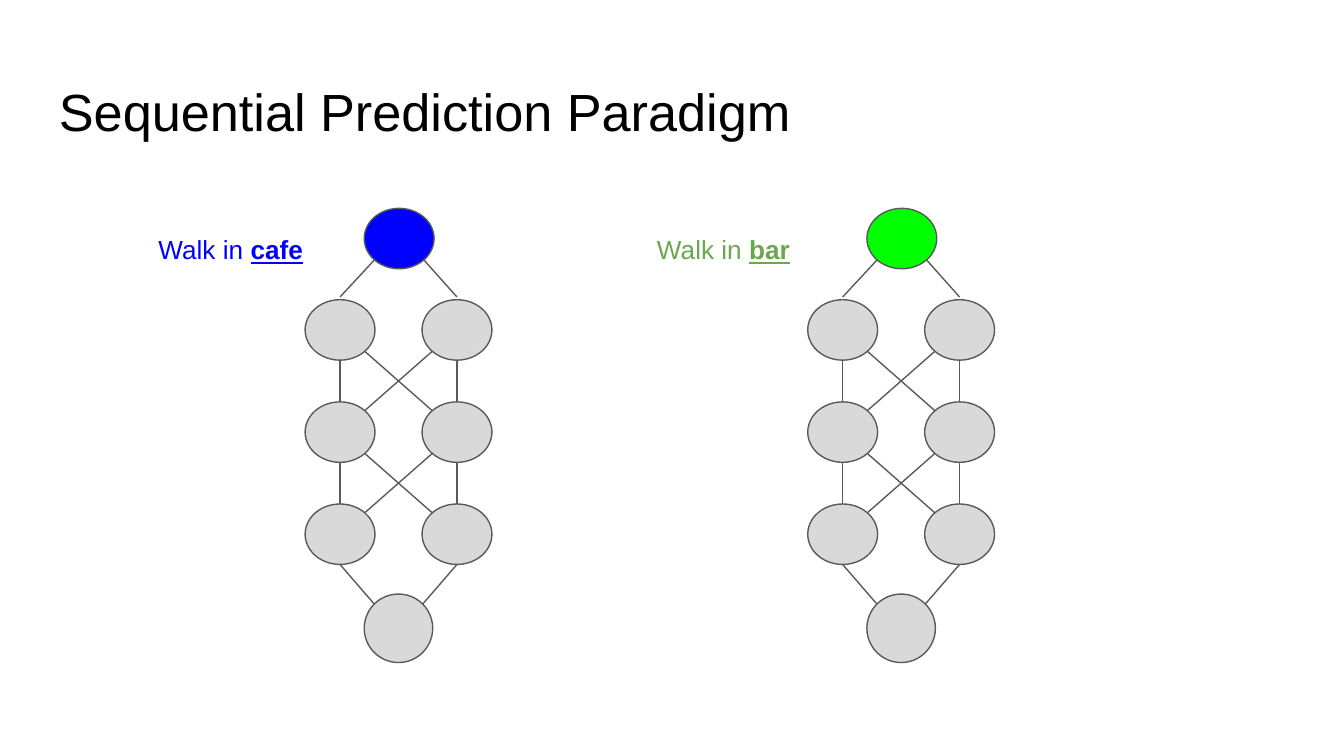
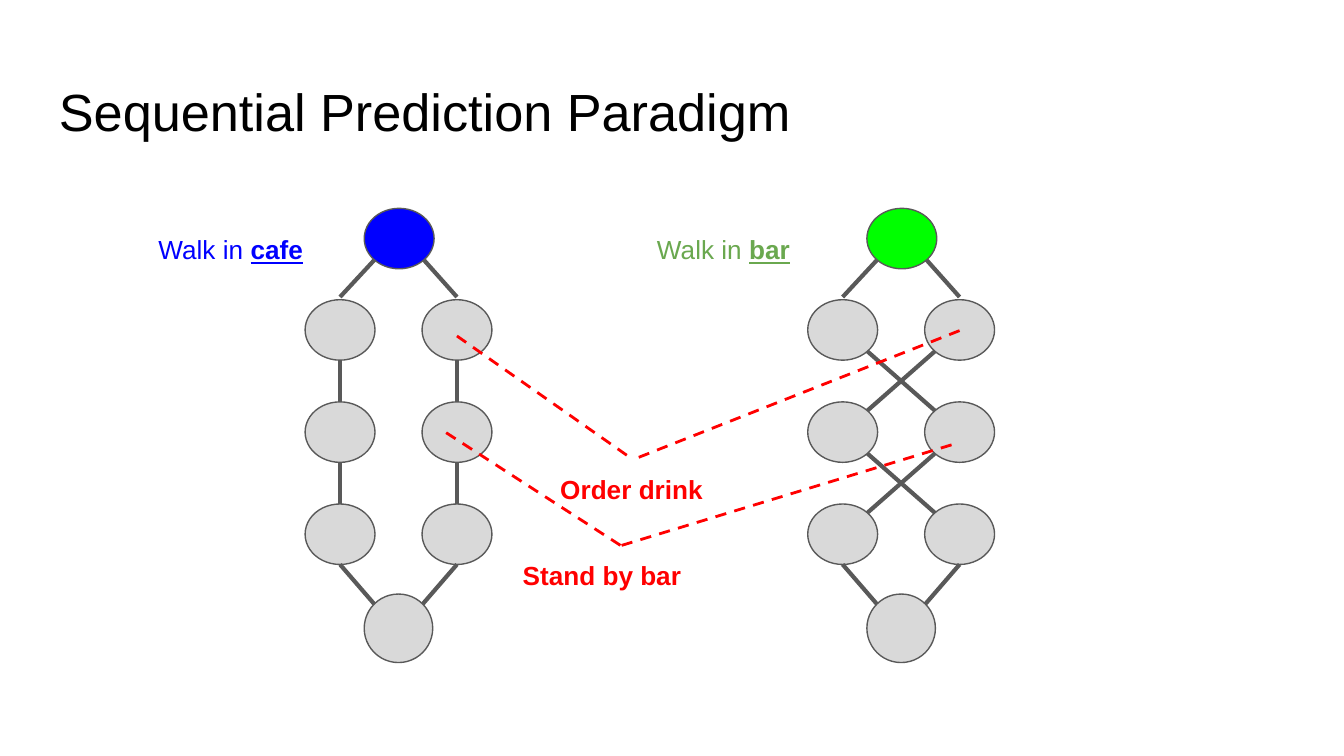
"""Build two slides on the sequential prediction paradigm."""
from lxml import etree
from pptx import Presentation
from pptx.dml.color import RGBColor
from pptx.enum.dml import MSO_LINE
from pptx.enum.shapes import MSO_CONNECTOR, MSO_SHAPE
from pptx.enum.text import MSO_ANCHOR, PP_ALIGN
from pptx.oxml.ns import qn
from pptx.util import Pt

OVAL = MSO_SHAPE.OVAL
STRAIGHT = MSO_CONNECTOR.STRAIGHT
DASH = MSO_LINE.DASH
TOP = MSO_ANCHOR.TOP
LEFT = PP_ALIGN.LEFT

BLACK = RGBColor(0x00, 0x00, 0x00)
BLUE = RGBColor(0x00, 0x00, 0xFF)
LIME = RGBColor(0x00, 0xFF, 0x00)
GREEN = RGBColor(0x6A, 0xA8, 0x4F)
RED = RGBColor(0xFF, 0x00, 0x00)
GRAY = RGBColor(0xD9, 0xD9, 0xD9)
DARK = RGBColor(0x59, 0x59, 0x59)

PX = 9144
SLIDE_WIDTH = 1000
SLIDE_SIZE = (SLIDE_WIDTH, SLIDE_WIDTH * 9 / 16)
INSET = 10
FONT = "Arial"
THIN, THICK, DASHED = 0.75, 2.25, 1.5

TITLE = "Sequential Prediction Paradigm"
TITLE_BOX = (34, 49, 932, 63)
PLAIN = {}
BOLD = {"bold": True}
PLACE = {"bold": True, "underline": True}

CAFE = {"left": 227, "start": BLUE, "ink": BLUE, "place": "cafe", "box": (108, 164, 148, 36)}
BAR = {"left": 601, "start": LIME, "ink": GREEN, "place": "bar", "box": (479, 164, 140, 36)}

SLIDES = [
    {"weight": THIN,
     "trees": [(CAFE, ("parallel", "crossed")), (BAR, ("parallel", "crossed"))],
     "shared_events": []},
    {"weight": THICK,
     "trees": [(CAFE, ("parallel",)), (BAR, ("crossed",))],
     "shared_events": [
         ("Order drink", (407, 342, 128, 36), (471, 342), [(340, 250), (714, 246)]),
         ("Stand by bar", (379, 406, 165, 36), (462, 406), [(332, 322), (708, 331)]),
     ]},
]

NODE_SIZE = (52, 45)
END_SIZE = (51, 51)
COLUMN_STEP, ROW_STEP, ROWS = 87, 76, 3
START_TOP, FIRST_ROW_TOP, END_TOP = 155, 223, 442
APEX_SHIFT = 44
START_GAP = 2
DIAGONAL = 0.5 ** 0.5
PATHS = {"parallel": [(0, 0), (1, 1)], "crossed": [(0, 1), (1, 0)]}


def emu(lengths):
    return [round(length * PX) for length in lengths]


def add_text(slide, box, runs, size, color):
    frame = slide.shapes.add_textbox(*emu(box)).text_frame
    frame_format = {"word_wrap": True, "vertical_anchor": TOP}
    for side in ("left", "top", "right", "bottom"):
        frame_format[f"margin_{side}"] = INSET * PX
    for key, value in frame_format.items():
        setattr(frame, key, value)
    paragraph = frame.paragraphs[0]
    paragraph.alignment = LEFT
    for words, style in runs:
        run = paragraph.add_run()
        run.text = words
        run.font.color.rgb = color
        for key, value in {"name": FONT, "size": Pt(size), **style}.items():
            setattr(run.font, key, value)


def add_line(slide, start, end, color, weight, dash=None):
    connector = slide.shapes.add_connector(STRAIGHT, *emu(start + end))
    connector.line.color.rgb = color
    connector.line.width = Pt(weight)
    if dash:
        connector.line.dash_style = dash
    etree.SubElement(connector.element.spPr, qn("a:effectLst"))


def add_node(slide, box, fill):
    node = slide.shapes.add_shape(OVAL, *emu(box))
    node.shadow.inherit = False
    node.fill.solid()
    node.fill.fore_color.rgb = fill
    node.line.color.rgb = DARK
    node.line.width = Pt(THIN)


def rim(box, across, down):
    """Return the point on a node's rim in the given direction."""
    left, top, width, height = box
    reach = DIAGONAL if across and down else 1
    return (left + width / 2 * (1 + across * reach),
            top + height / 2 * (1 + down * reach))


def add_tree(slide, tree, paths, weight):
    left = tree["left"]
    start = (left + APEX_SHIFT, START_TOP, *NODE_SIZE)
    end = (left + APEX_SHIFT, END_TOP, *END_SIZE)
    rows = [[(left + column * COLUMN_STEP, FIRST_ROW_TOP + row * ROW_STEP, *NODE_SIZE)
             for column in range(2)] for row in range(ROWS)]

    add_node(slide, start, tree["start"])
    for node in [*rows[0], *rows[1], *rows[2], end]:
        add_node(slide, node, GRAY)

    edges = []
    for column, side in enumerate((-1, 1)):
        x, y = rim(rows[0][column], 0, -1)
        edges.append((rim(start, side, 1), (x, y - START_GAP)))
        edges.append((rim(rows[-1][column], 0, 1), rim(end, side, -1)))
    for upper, lower in zip(rows, rows[1:]):
        for path in paths:
            for origin, target in PATHS[path]:
                across = target - origin
                edges.append((rim(upper[origin], across, 1), rim(lower[target], -across, -1)))
    for origin, target in edges:
        add_line(slide, origin, target, DARK, weight)

    add_text(slide, tree["box"], [("Walk in ", PLAIN), (tree["place"], PLACE)], 14, tree["ink"])


def main():
    deck = Presentation()
    deck.slide_width, deck.slide_height = emu(SLIDE_SIZE)
    blank = deck.slide_layouts[6]
    for content in SLIDES:
        slide = deck.slides.add_slide(blank)
        add_text(slide, TITLE_BOX, [(TITLE, PLAIN)], 28, BLACK)
        for tree, paths in content["trees"]:
            add_tree(slide, tree, paths, content["weight"])
        for event, box, meeting, states in content["shared_events"]:
            add_text(slide, box, [(event, BOLD)], 14, RED)
            for state in states:
                add_line(slide, state, meeting, RED, DASHED, DASH)
    deck.save("out.pptx")


if __name__ == "__main__":
    main()
